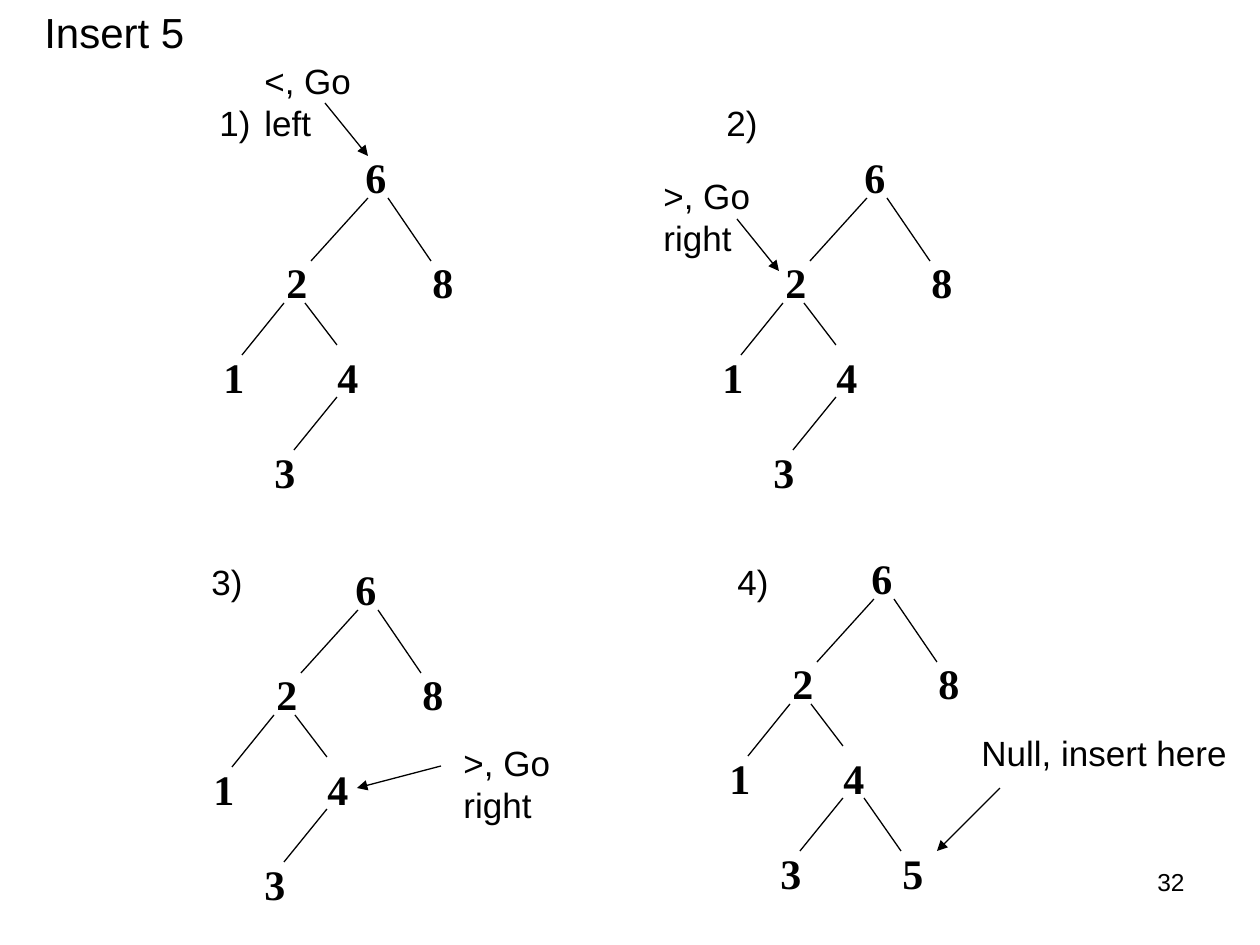
from dataclasses import dataclass

from lxml.etree import SubElement
from pptx import Presentation
from pptx.dml.color import RGBColor
from pptx.enum.shapes import MSO_CONNECTOR
from pptx.enum.text import MSO_AUTO_SIZE, PP_ALIGN
from pptx.oxml.ns import qn
from pptx.util import Emu, Pt

PX = 914400 / 126
COLORS = {"ink": "000000", "paper": "FFFFFF"}

# Offsets from the top left corner of the root's box
NODES = {
    "6": (0, 0),
    "2": (-79, 105),
    "8": (67, 105),
    "1": (-142, 200),
    "4": (-28, 200),
    "3": (-91, 295),
    "5": (31, 295),
}
EDGES = {
    "62": ((15, 53), (-42, 116)),
    "68": ((35, 53), (78, 116)),
    "21": ((-69, 158), (-111, 210)),
    "24": ((-48, 158), (-16, 200)),
    "43": ((-16, 252), (-59, 305)),
    "45": ((5, 252), (42, 305)),
}


@dataclass
class Step:
    """One stage of the insertion; all places but root are relative to root."""
    label: str
    root: tuple
    label_at: tuple
    hint: str
    hint_at: tuple
    hint_width: int
    arrow: tuple
    keys: str = "628143"


STEPS = [
    Step("1)", (353, 145), (-146, -50), "<, Go left", (-101, -92), 164,
         ((-28, -42), (15, 11))),
    Step("2)", (852, 145), (-138, -50), ">, Go right", (-201, 23), 185,
         ((-115, 74), (-73, 126))),
    Step("3)", (343, 557), (-144, -3), ">, Go right", (108, 178), 185,
         ((98, 209), (14, 231))),
    Step("4)", (859, 546), (-134, 8), "Null, insert here", (110, 179), 275,
         ((141, 242), (78, 305)), "6281435"),
]


def px(value):
    return Emu(round(value * PX))


def shift(origin, offset):
    return origin[0] + offset[0], origin[1] + offset[1]


def add_text(page, text, at, size, points, font="Arial", bold=False,
             wrap=False, align=PP_ALIGN.LEFT):
    box = page.shapes.add_textbox(*map(px, (*at, *size)))
    frame = box.text_frame
    frame.word_wrap = wrap
    frame.auto_size = MSO_AUTO_SIZE.NONE if wrap else MSO_AUTO_SIZE.SHAPE_TO_FIT_TEXT
    paragraph = frame.paragraphs[0]
    paragraph.text = text
    paragraph.alignment = align
    paragraph.font.name = font
    paragraph.font.size = Pt(points)
    paragraph.font.bold = bold
    paragraph.font.color.rgb = RGBColor.from_string(COLORS["ink"])


def add_line(page, start, end, arrow=False):
    line = page.shapes.add_connector(MSO_CONNECTOR.STRAIGHT, *map(px, (*start, *end)))
    line.line.color.rgb = RGBColor.from_string(COLORS["ink"])
    line.line.width = Pt(0.75)
    if arrow:
        SubElement(line.line._get_or_add_ln(), qn("a:tailEnd"), type="triangle")
    SubElement(line._element.spPr, qn("a:effectLst"))


def add_tree(page, root, keys):
    for key in keys:
        add_text(page, key, shift(root, NODES[key]), (47, 63), 24,
                 font="Times New Roman", bold=True)
    for (parent, child), (start, end) in EDGES.items():
        if parent in keys and child in keys:
            add_line(page, shift(root, start), shift(root, end))


def add_step(page, step):
    add_tree(page, step.root, step.keys)
    add_text(page, step.label, shift(step.root, step.label_at), (57, 54), 20)
    add_text(page, step.hint, shift(step.root, step.hint_at),
             (step.hint_width, 54), 20, wrap=True)
    start, end = step.arrow
    add_line(page, shift(step.root, start), shift(step.root, end), arrow=True)


def main():
    deck = Presentation()
    deck.slide_width, deck.slide_height = px(1260), px(945)
    page = deck.slides.add_slide(deck.slide_layouts[6])
    page.background.fill.solid()
    page.background.fill.fore_color.rgb = RGBColor.from_string(COLORS["paper"])
    add_text(page, "Insert 5", (32, 0), (165, 63), 24)
    for step in STEPS:
        add_step(page, step)
    add_text(page, "32", (903, 861), (294, 66), 14, wrap=True, align=PP_ALIGN.RIGHT)
    deck.save("out.pptx")


if __name__ == "__main__":
    main()
